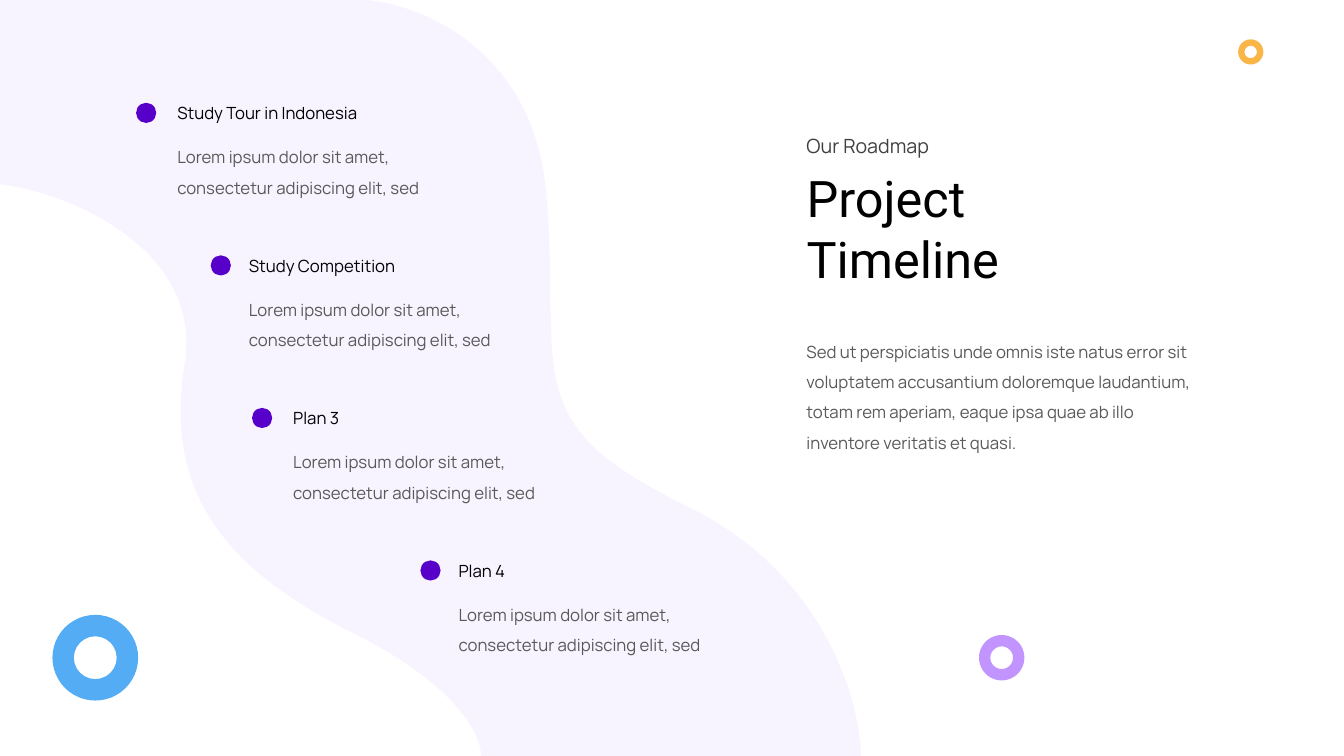
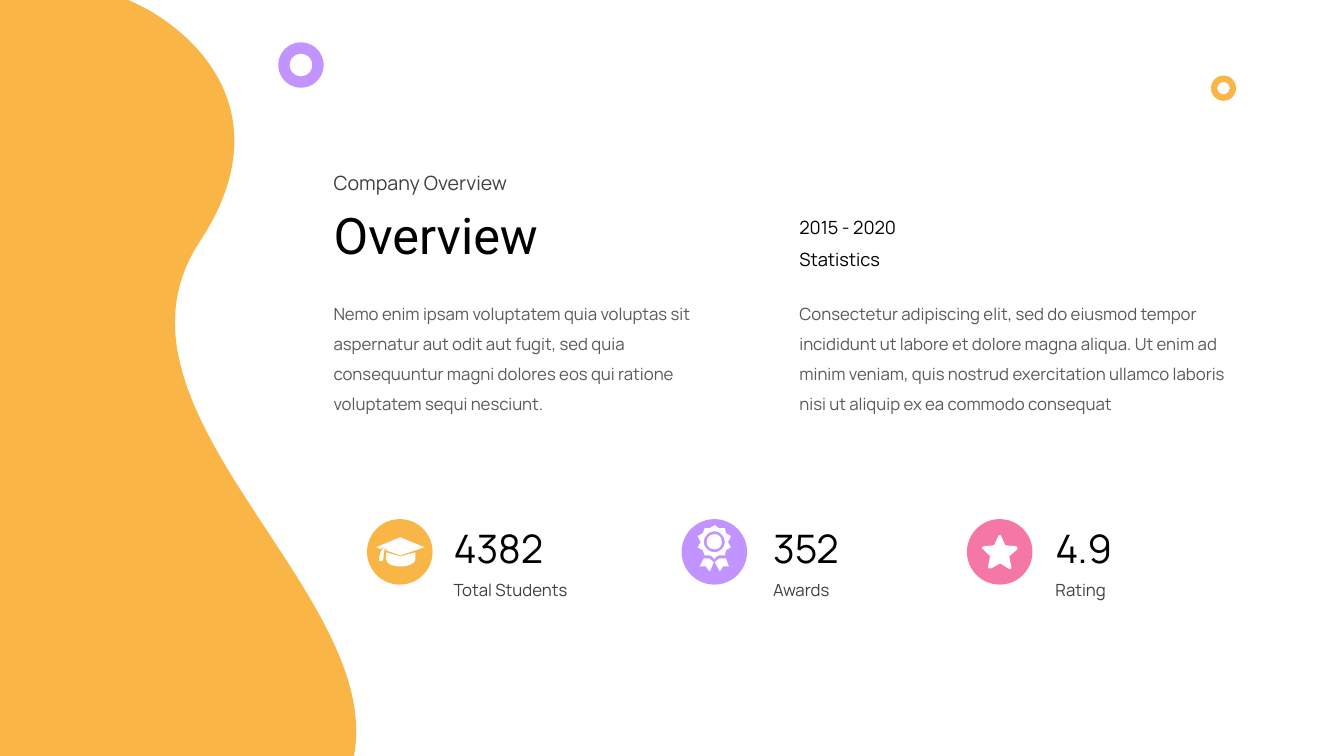
from lxml import etree
from pptx import Presentation
from pptx.dml.color import RGBColor
from pptx.enum.shapes import MSO_SHAPE as MS
from pptx.enum.text import MSO_ANCHOR, MSO_AUTO_SIZE, PP_ALIGN
from pptx.oxml.ns import qn
from pptx.util import Inches, Pt

COLORS = {
    "black": "000000", "dark": "404040", "grey": "595959", "white": "FFFFFF",
    "indigo": "5700CA", "lavender": "F3EAFF", "orange": "F9B545",
    "blue": "54ADF4", "purple": "C294FF", "pink": "F577A5",
}
# Text styles: font values, colour, line spacing, wrapping
STYLES = {
    "title": ({"name": "Roboto", "size": Pt(36)}, "black", 1.0, False),
    "kicker": ({"name": "Manrope", "size": Pt(14)}, "dark", 1.0, False),
    "subhead": ({"name": "Manrope", "size": Pt(13)}, "black", 1.0, False),
    "heading": ({"name": "Manrope", "size": Pt(12)}, "black", 1.0, False),
    "label": ({"name": "Manrope", "size": Pt(12)}, "dark", 1.0, False),
    "number": ({"name": "Manrope", "size": Pt(28)}, "black", 1.0, False),
    "body": ({"name": "Manrope", "size": Pt(12)}, "grey", 1.5, True),
}

# Outlines in slide inches: M starts a contour, L lines, C cubic curves
LAVENDER_WAVE = """M 5.42,1.93 C 5.3,0.49 4.18,0.05 3.64,0 L 0,0 0,1.83
    C 0.65,1.9 2.02,2.45 1.83,3.62 1.64,4.8 2.14,5.6 3.48,6.27
    4.55,6.8 4.78,7.31 4.77,7.5 L 8.54,7.5
    C 8.53,6.94 8.17,5.68 6.81,5.02 5.11,4.19 5.57,3.74 5.42,1.93"""
ORANGE_WAVE = """M 1.98,2.4 C 2.85,1.08 1.87,0.25 1.27,0 L 0,0 0,7.5 3.51,7.5
    C 3.82,5.88 0.89,4.06 1.98,2.4"""
CAP_BASE = """M 3.97,5.52 L 3.83,5.48 3.83,5.52 3.83,5.55
    C 3.83,5.59 3.89,5.62 3.97,5.62 4.05,5.62 4.12,5.59 4.12,5.55
    4.12,5.55 4.12,5.55 4.12,5.55 L 4.12,5.48 3.97,5.52"""
CAP_TOP = """M 3.73,5.43 L 3.78,5.45 3.78,5.44 3.8,5.43 3.81,5.44 3.79,5.44 3.79,5.45
    C 3.79,5.45 3.75,5.53 3.76,5.56 3.76,5.56 3.78,5.58 3.8,5.56
    L 3.81,5.46 3.81,5.45 3.84,5.44 3.84,5.45 3.81,5.46 3.83,5.46 3.97,5.51
    4.12,5.46 4.21,5.43 3.97,5.33 3.73,5.43"""
ROSETTE = """M 7.14,5.54 L 7.16,5.54 7.18,5.54 7.2,5.54 7.23,5.62 7.17,5.62
    7.14,5.67 7.09,5.58 7.1,5.57 7.11,5.56
    M 7.03,5.54 L 7.06,5.56 7.07,5.57 7.08,5.58 7.04,5.67 7,5.62 6.94,5.62
    6.98,5.54 6.99,5.54 7.01,5.54
    M 7.09,5.3 C 7.13,5.3 7.16,5.33 7.16,5.38 7.16,5.42 7.13,5.45 7.09,5.45
    7.04,5.45 7.01,5.42 7.01,5.38 7.01,5.33 7.04,5.3 7.09,5.3
    M 7.09,5.27 C 7.03,5.27 6.98,5.32 6.98,5.38 6.98,5.43 7.03,5.48 7.09,5.48
    7.14,5.48 7.19,5.43 7.19,5.38 7.19,5.32 7.14,5.27 7.09,5.27
    M 7.09,5.21 L 7.13,5.24 7.19,5.24 7.2,5.29 7.25,5.32 7.22,5.38 7.25,5.43
    7.2,5.46 7.19,5.51 7.16,5.51 7.13,5.51 7.11,5.52 7.1,5.53 7.09,5.54 7.09,5.55
    7.08,5.54 7.07,5.53 7.06,5.52 7.04,5.51 7.01,5.51 6.99,5.51 6.97,5.46
    6.92,5.43 6.95,5.38 6.92,5.32 6.97,5.29 6.99,5.24 7.04,5.24"""
STAR = """M 10.09,5.43 C 10.09,5.43 10.08,5.42 10.08,5.42 L 9.97,5.41 9.93,5.32
    C 9.93,5.31 9.92,5.31 9.92,5.31 9.91,5.31 9.9,5.31 9.9,5.32
    L 9.86,5.41 9.76,5.42 C 9.75,5.42 9.74,5.43 9.74,5.43
    9.74,5.44 9.74,5.45 9.75,5.45 L 9.82,5.52 9.8,5.62
    C 9.8,5.63 9.8,5.64 9.81,5.64 9.81,5.64 9.82,5.64 9.82,5.64
    9.82,5.64 9.83,5.64 9.83,5.64 L 9.92,5.59 10,5.64
    C 10.01,5.65 10.02,5.64 10.03,5.64 10.03,5.64 10.03,5.63 10.03,5.62
    L 10.01,5.52 10.09,5.45 C 10.09,5.45 10.09,5.44 10.09,5.43"""


def add_figure(s, figure, color, x=0, y=0, size=0):
    """Add an outline string or a square preset shape in one plain colour."""
    if isinstance(figure, str):
        builder, bends = None, []
        for contour in figure.split("M")[1:]:
            points, controls, mode = [], [], "L"
            for token in contour.split():
                if token in ("L", "C"):
                    mode = token
                    continue
                point = tuple(Inches(float(v)) for v in token.split(","))
                if mode == "C" and len(controls) < 2:
                    controls.append(point)
                    continue
                if points:
                    bends.append(controls)
                points.append(point)
                controls = []
            if builder is None:
                builder = s.shapes.build_freeform(*points[0])
            else:
                builder.move_to(*points[0])
            builder.add_line_segments(points[1:], close=True)
        sp = builder.convert_to_shape()
        # Turn the segments that have control points into cubic curves
        segments = list(sp._element.iter(qn("a:lnTo")))
        for segment, controls in zip(segments, bends):
            if controls:
                segment.tag = qn("a:cubicBezTo")
            for i, (cx, cy) in enumerate(controls):
                segment.insert(i, etree.Element(
                    qn("a:pt"), x=str(cx - sp.left), y=str(cy - sp.top)))
    else:
        sp = s.shapes.add_shape(figure, Inches(x), Inches(y), Inches(size), Inches(size))
    sp.shadow.inherit = False
    sp.fill.solid()
    sp.fill.fore_color.rgb = RGBColor.from_string(COLORS[color])
    sp.line.fill.background()
    return sp


def add_text(s, text, style, x, y, w, h):
    """Add a text box, or fill the title placeholder, in a named style."""
    font, color, spacing, wrap = STYLES[style]
    box = tuple(Inches(v) for v in (x, y, w, h))
    if style == "title":
        sp = s.shapes.title
        sp.left, sp.top, sp.width, sp.height = box
    else:
        sp = s.shapes.add_textbox(*box)
    tf = sp.text_frame
    tf.text = text
    tf.word_wrap = wrap
    tf.auto_size = MSO_AUTO_SIZE.SHAPE_TO_FIT_TEXT
    tf.vertical_anchor = MSO_ANCHOR.TOP
    for p in tf.paragraphs:
        p.alignment = PP_ALIGN.LEFT
        p.line_spacing = spacing
        for r in p.runs:
            for key, value in font.items():
                setattr(r.font, key, value)
            r.font.color.rgb = RGBColor.from_string(COLORS[color])


prs = Presentation()
prs.slide_width, prs.slide_height = Inches(13.33), Inches(7.5)
title_only = prs.slide_layouts[5]

# Slide 1: timeline
s = prs.slides.add_slide(title_only)
wave = add_figure(s, LAVENDER_WAVE, "lavender")
wave_color = wave._element.spPr.find(".//" + qn("a:srgbClr"))
etree.SubElement(wave_color, qn("a:alpha"), val="50000")

add_text(s, "Our Roadmap", "kicker", 7.9, 1.28, 1.6, 0.34)
add_text(s, "Project\nTimeline", "title", 7.9, 1.61, 2.33, 1.31)
add_text(s, "Sed ut perspiciatis unde omnis iste natus error sit voluptatem accusantium "
         "doloremque laudantium, totam rem aperiam, eaque ipsa quae ab illo inventore "
         "veritatis et quasi.", "body", 7.9, 3.24, 4.08, 1.29)

# Milestones, evenly spaced down the wave
milestones = [
    ("Study Tour in Indonesia", 1.35, 1.66, 2.18),
    ("Study Competition", 2.09, 2.37, 1.83),
    ("Plan 3", 2.5, 2.81, 0.71),
    ("Plan 4", 4.17, 4.45, 0.72),
]
for i, (name, dot_x, x, w) in enumerate(milestones):
    y = 0.97 + i * 4.54 / 3
    add_figure(s, MS.OVAL, "indigo", dot_x, y + 0.05, 0.2)
    add_text(s, name, "heading", x, y, w, 0.3)
    add_text(s, "Lorem ipsum dolor sit amet, consectetur adipiscing elit, sed",
             "body", x, y + 0.34, 2.79, 0.68)

# Rings
for color, x, y, size in [("blue", 0.52, 6.1, 0.85), ("orange", 12.28, 0.39, 0.25),
                          ("purple", 9.71, 6.3, 0.45)]:
    add_figure(s, MS.DONUT, color, x, y, size)

# Slide 2: overview
s = prs.slides.add_slide(title_only)
add_figure(s, ORANGE_WAVE, "orange")

add_text(s, "Company Overview", "kicker", 3.21, 1.65, 2.15, 0.34)
add_text(s, "Overview", "title", 3.21, 1.97, 2.54, 0.71)
add_text(s, "Nemo enim ipsam voluptatem quia voluptas sit aspernatur aut odit aut fugit, "
         "sed quia consequuntur magni dolores eos qui ratione voluptatem sequi nesciunt.",
         "body", 3.21, 2.86, 3.86, 1.29)
add_text(s, "2015 - 2020", "subhead", 7.83, 2.1, 1.3, 0.32)
add_text(s, "Statistics", "subhead", 7.83, 2.41, 1.04, 0.32)
add_text(s, "Consectetur adipiscing elit, sed do eiusmod tempor incididunt ut labore et "
         "dolore magna aliqua. Ut enim ad minim veniam, quis nostrud exercitation ullamco "
         "laboris nisi ut aliquip ex ea commodo consequat", "body", 7.83, 2.86, 4.71, 1.29)

# Key figures: badge with icon, number and label
key_figures = [
    ("4382", 1.17, "Total Students", 1.4, "orange", 3.64, 4.4, [CAP_BASE, CAP_TOP]),
    ("352", 0.91, "Awards", 0.83, "purple", 6.76, 7.57, [ROSETTE]),
    ("4.9", 0.8, "Rating", 0.74, "pink", 9.59, 10.37, [STAR]),
]
for number, number_w, label, label_w, color, badge_x, x, icon in key_figures:
    add_figure(s, MS.OVAL, color, badge_x, 5.15, 0.65)
    parent = s.shapes.add_group_shape() if len(icon) > 1 else s
    for outline in icon:
        add_figure(parent, outline, "white")
    add_text(s, number, "number", x, 5.15, number_w, 0.57)
    add_text(s, label, "label", x, 5.7, label_w, 0.3)

# Rings
for color, x, y, size in [("orange", 12.01, 0.75, 0.25), ("purple", 2.76, 0.42, 0.45)]:
    add_figure(s, MS.DONUT, color, x, y, size)

prs.save("out.pptx")
